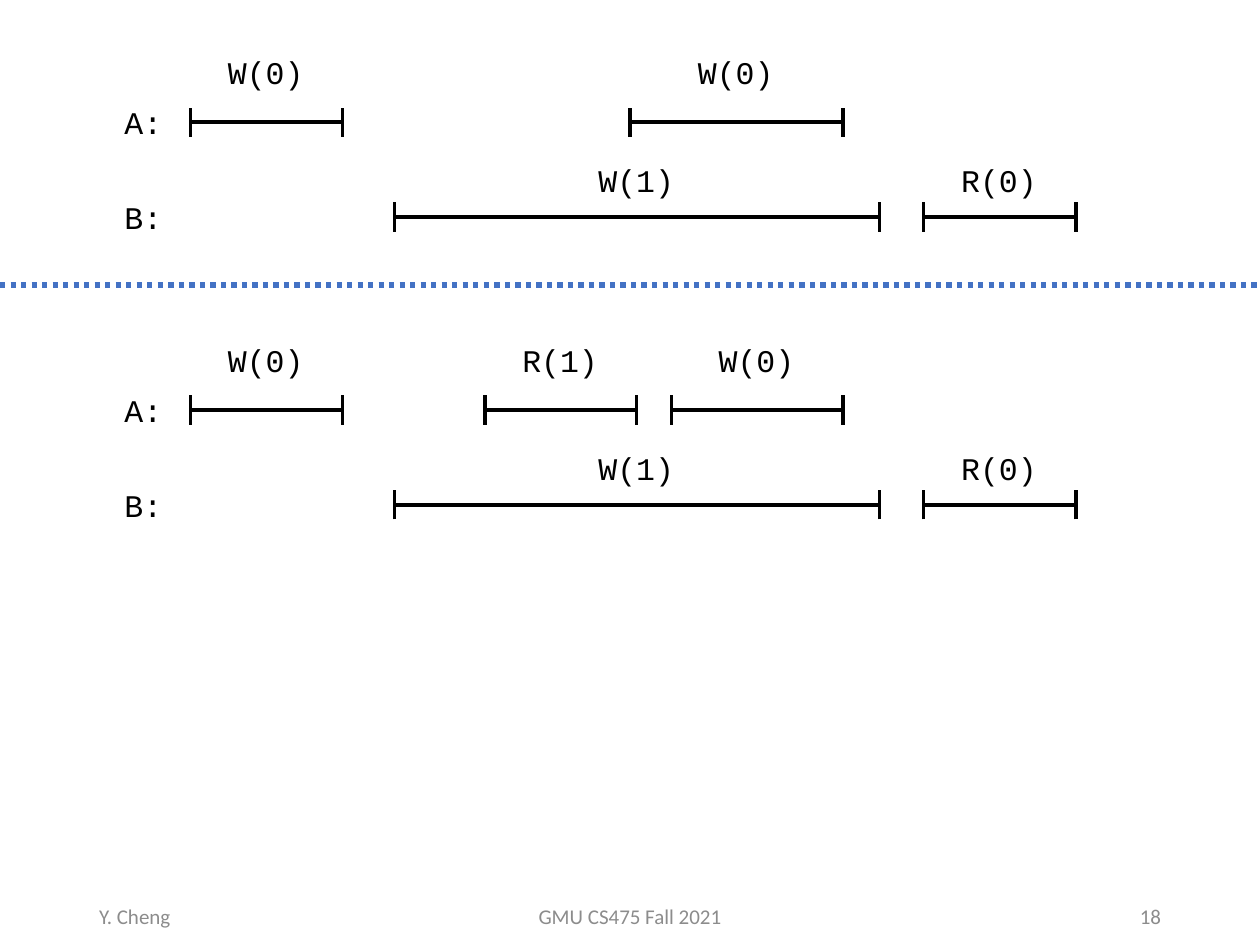
from dataclasses import dataclass

from lxml import etree
from pptx import Presentation
from pptx.dml.color import RGBColor
from pptx.enum.dml import MSO_LINE
from pptx.enum.shapes import MSO_CONNECTOR
from pptx.enum.text import MSO_ANCHOR, MSO_AUTO_SIZE, PP_ALIGN
from pptx.oxml.ns import qn
from pptx.util import Pt

STRAIGHT = MSO_CONNECTOR.STRAIGHT
DOTTED = MSO_LINE.ROUND_DOT
TOP, MIDDLE = MSO_ANCHOR.TOP, MSO_ANCHOR.MIDDLE
LEFT, CENTER, RIGHT = PP_ALIGN.LEFT, PP_ALIGN.CENTER, PP_ALIGN.RIGHT
FIT_SHAPE = MSO_AUTO_SIZE.SHAPE_TO_FIT_TEXT


@dataclass(frozen=True)
class Theme:
    ink: RGBColor = RGBColor(0x00, 0x00, 0x00)
    muted: RGBColor = RGBColor(0x8C, 0x8C, 0x8C)
    divider: RGBColor = RGBColor(0x44, 0x72, 0xC4)
    code_font: str = "Courier New"
    footer_font: str = "Calibri"
    code_size: float = 18
    footer_size: float = 12
    line_width: float = 2
    divider_width: float = 3


@dataclass(frozen=True)
class Operation:
    label: str
    start: float
    end: float


@dataclass(frozen=True)
class Process:
    name: str
    line_y: float
    label_rise: float
    operations: tuple[Operation, ...]


@dataclass(frozen=True)
class Footer:
    text: str
    left: float
    width: float
    align: PP_ALIGN


THEME = Theme()
SLIDE_WIDTH, SLIDE_HEIGHT = 720, 540
NAME_LEFT, NAME_WIDTH, NAME_RISE = 64, 36, 14.2
LABEL_WIDTH, TEXT_HEIGHT = 58.3, 29
TICK_HALF = 8.3
DIVIDER_Y = 162.8
PANEL_SHIFT = 164.5
FOOTER_TOP = 509

FIRST_WRITE = Operation("W(0)", 108.8, 195.8)
LONG_WRITE = Operation("W(1)", 225.5, 502.5)
LAST_READ = Operation("R(0)", 527.8, 614.8)


def panel(shift: float, middle: tuple[Operation, ...]) -> tuple[Process, ...]:
    """Timelines of both processes; only the later operations of A vary."""
    return (
        Process("A:", 69.8 + shift, 43.2, (FIRST_WRITE, *middle)),
        Process("B:", 124 + shift, 35.3, (LONG_WRITE, LAST_READ)),
    )


PANELS = (
    panel(0, (Operation("W(0)", 360, 481.7),)),
    panel(PANEL_SHIFT, (Operation("R(1)", 277.2, 363.8),
                        Operation("W(0)", 383.8, 481.7))),
)
FOOTERS = (
    Footer("Y. Cheng", 49.5, 162, LEFT),
    Footer("GMU CS475 Fall 2021", 238.5, 243, CENTER),
    Footer("18", 508.5, 162, RIGHT),
)


def add_text(shapes, text: str, left: float, top: float, width: float,
             font: str, size: float, color: RGBColor, align: PP_ALIGN = LEFT,
             anchor: MSO_ANCHOR = TOP, wrap: bool = False):
    box = shapes.add_textbox(Pt(left), Pt(top), Pt(width), Pt(TEXT_HEIGHT))
    frame = box.text_frame
    frame.word_wrap = wrap
    frame.vertical_anchor = anchor
    para = frame.paragraphs[0]
    para.alignment = align
    span = para.add_run()
    span.text = text
    span.font.name = font
    span.font.size = Pt(size)
    span.font.color.rgb = color
    return box


def add_code(shapes, text: str, left: float, top: float, width: float) -> None:
    box = add_text(shapes, text, left, top, width,
                   THEME.code_font, THEME.code_size, THEME.ink)
    box.text_frame.auto_size = FIT_SHAPE


def add_line(shapes, x1: float, y1: float, x2: float, y2: float,
             color: RGBColor = THEME.ink, width: float = THEME.line_width):
    line = shapes.add_connector(STRAIGHT, Pt(x1), Pt(y1), Pt(x2), Pt(y2))
    line.line.color.rgb = color
    line.line.width = Pt(width)
    etree.SubElement(line._element.spPr, qn("a:effectLst"))
    return line


def add_operation(shapes, operation: Operation, process: Process) -> None:
    """Draw an interval with end ticks and its label centred above."""
    y = process.line_y
    interval = shapes.add_group_shape().shapes
    add_line(interval, operation.start, y, operation.end, y)
    for x in (operation.end, operation.start):
        add_line(interval, x, y + TICK_HALF, x, y - TICK_HALF)
    center = (operation.start + operation.end) / 2
    add_code(shapes, operation.label, center - LABEL_WIDTH / 2,
             y - process.label_rise, LABEL_WIDTH)


def add_process(shapes, process: Process) -> None:
    add_code(shapes, process.name, NAME_LEFT, process.line_y - NAME_RISE, NAME_WIDTH)
    for operation in process.operations:
        add_operation(shapes, operation, process)


def main() -> None:
    deck = Presentation()
    deck.slide_width, deck.slide_height = Pt(SLIDE_WIDTH), Pt(SLIDE_HEIGHT)
    page = deck.slides.add_slide(deck.slide_layouts[6])
    shapes = page.shapes

    for footer in FOOTERS:
        add_text(shapes, footer.text, footer.left, FOOTER_TOP, footer.width,
                 THEME.footer_font, THEME.footer_size, THEME.muted,
                 footer.align, MIDDLE, wrap=True)
    for processes in PANELS:
        for process in processes:
            add_process(shapes, process)
    divider = add_line(shapes, 0, DIVIDER_Y, SLIDE_WIDTH, DIVIDER_Y,
                       THEME.divider, THEME.divider_width)
    divider.line.dash_style = DOTTED

    deck.save("out.pptx")


if __name__ == "__main__":
    main()
